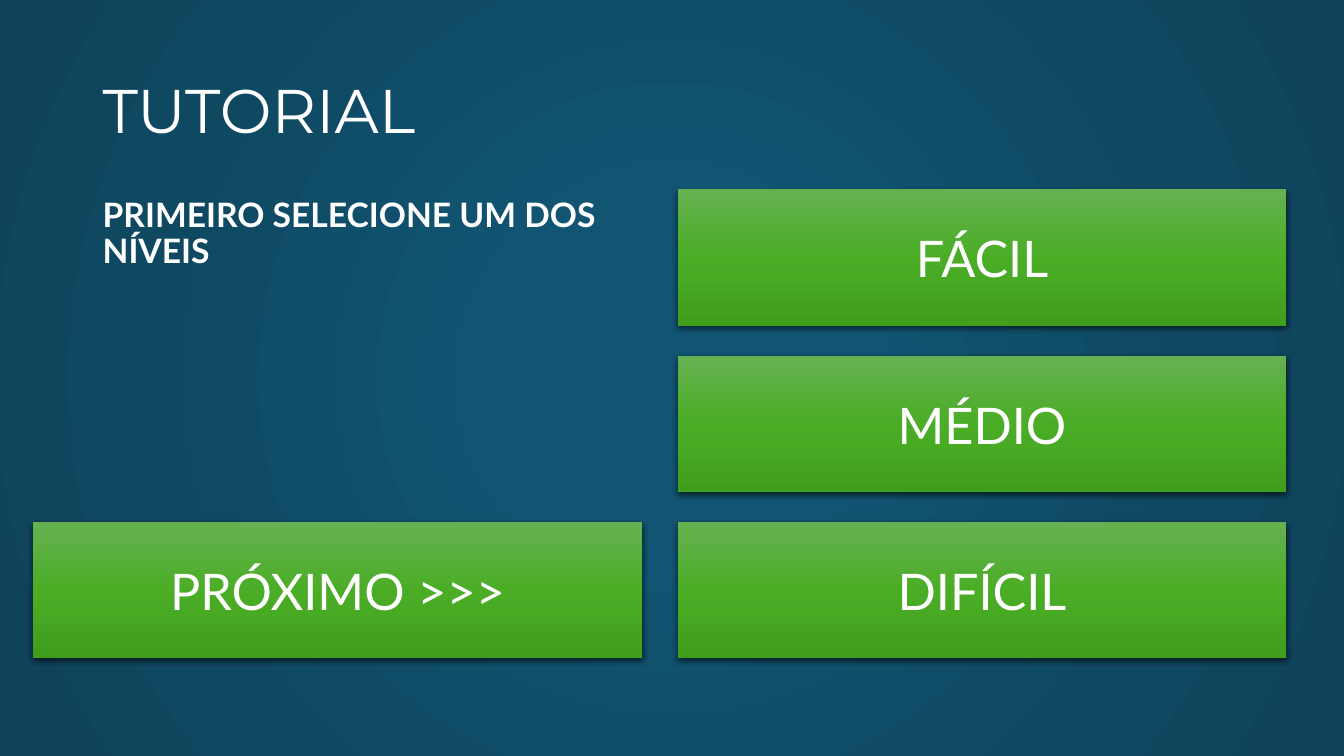
import pptx
import pptx.dml.color
import pptx.enum.shapes
import pptx.enum.text
import pptx.oxml
import pptx.oxml.ns
import pptx.util

Inches = pptx.util.Inches
Anchor = pptx.enum.text.MSO_ANCHOR
Align = pptx.enum.text.PP_ALIGN

COLORS = {
    "text": "FFFFFF",
    "shadow": "000000",
    "back_center": "125573",
    "back_middle": "0F4861",
    "back_edge": "0E435B",
    "button_top": "65B151",
    "button_middle": "4BAD26",
    "button_bottom": "3F9E1C",
}
BACK_STOPS = [(0, "back_center"), (23, "back_center"), (69, "back_middle"),
              (97, "back_edge"), (100, "back_edge")]
BUTTON_STOPS = [(0, "button_top"), (50, "button_middle"), (100, "button_bottom")]
RADIAL = ('<a:path path="circle"><a:fillToRect l="50000" t="50000" '
          'r="50000" b="50000"/></a:path>')
DOWNWARD = '<a:lin ang="5400000" scaled="0"/>'

TITLE_FONT = {"name": "Montserrat", "size": pptx.util.Pt(44)}
PROMPT_FONT = {"name": "Lato", "size": pptx.util.Pt(24), "bold": True}
BUTTON_FONT = {"name": "Lato", "size": pptx.util.Pt(36)}

# Button grid, in inches
GRID_LEFT, GRID_TOP = 0.33, 1.88
COLUMN_STEP, ROW_STEP = 6.39, 1.65
BUTTON_WIDTH, BUTTON_HEIGHT = 6.04, 1.35
BUTTONS = [("FÁCIL", 1, 0), ("MÉDIO", 1, 1), ("DIFÍCIL", 1, 2), ("PRÓXIMO >>>", 0, 2)]


def parse_drawing(tag, attributes, content):
    namespace = pptx.oxml.ns.nsdecls("a")
    return pptx.oxml.parse_xml(f"<a:{tag} {namespace} {attributes}>{content}</a:{tag}>")


def paint_gradient(fill, element, stops, direction):
    """Give the fill held in element the named colour stops."""
    fill.gradient()
    plain = element.find(".//" + pptx.oxml.ns.qn("a:gradFill"))
    stop_list = "".join(
        f'<a:gs pos="{percent * 1000}"><a:srgbClr val="{COLORS[name]}"/></a:gs>'
        for percent, name in stops)
    gradient = parse_drawing("gradFill", 'rotWithShape="1"',
                             f"<a:gsLst>{stop_list}</a:gsLst>{direction}")
    plain.getparent().replace(plain, gradient)


def add_shadow(shape):
    shape.shadow.inherit = False
    effects = shape.element.spPr.find(pptx.oxml.ns.qn("a:effectLst"))
    effects.append(parse_drawing(
        "outerShdw",
        'blurRad="57150" dist="19050" dir="5400000" algn="ctr" rotWithShape="0"',
        f'<a:srgbClr val="{COLORS["shadow"]}"><a:alpha val="63000"/></a:srgbClr>'))


def write_text(shape, text, font_values, anchor, para_values):
    frame = shape.text_frame
    frame.word_wrap = True
    frame.vertical_anchor = anchor
    para = frame.paragraphs[0]
    span = para.add_run()
    span.text = text
    span.font.color.rgb = pptx.dml.color.RGBColor.from_string(COLORS["text"])
    for target, values in ((para, para_values), (span.font, font_values)):
        for name, value in values.items():
            setattr(target, name, value)


def add_label(page, box, text, font_values, anchor):
    label = page.shapes.add_textbox(*map(Inches, box))
    write_text(label, text, font_values, anchor, {"line_spacing": 0.9})


def add_button(page, box, text):
    button = page.shapes.add_shape(
        pptx.enum.shapes.MSO_SHAPE.RECTANGLE, *map(Inches, box))
    paint_gradient(button.fill, button.element, BUTTON_STOPS, DOWNWARD)
    button.line.fill.background()
    add_shadow(button)
    write_text(button, text, BUTTON_FONT, Anchor.MIDDLE, {"alignment": Align.CENTER})


def add_button_grid(page, left, top):
    for text, column, row in BUTTONS:
        box = (left + column * COLUMN_STEP, top + row * ROW_STEP,
               BUTTON_WIDTH, BUTTON_HEIGHT)
        add_button(page, box, text)


def build_tutorial(deck):
    page = deck.slides.add_slide(deck.slide_layouts[6])
    paint_gradient(page.background.fill, page.element, BACK_STOPS, RADIAL)
    add_label(page, (0.92, 0.4, 11.5, 1.45), "TUTORIAL", TITLE_FONT, Anchor.MIDDLE)
    add_label(page, (0.92, 1.84, 5.64, 0.9), "PRIMEIRO SELECIONE UM DOS NÍVEIS",
              PROMPT_FONT, Anchor.BOTTOM)
    add_button_grid(page, GRID_LEFT, GRID_TOP)


def main():
    deck = pptx.Presentation()
    deck.slide_width, deck.slide_height = Inches(13.33), Inches(7.5)
    build_tutorial(deck)
    deck.save("out.pptx")


if __name__ == "__main__":
    main()
